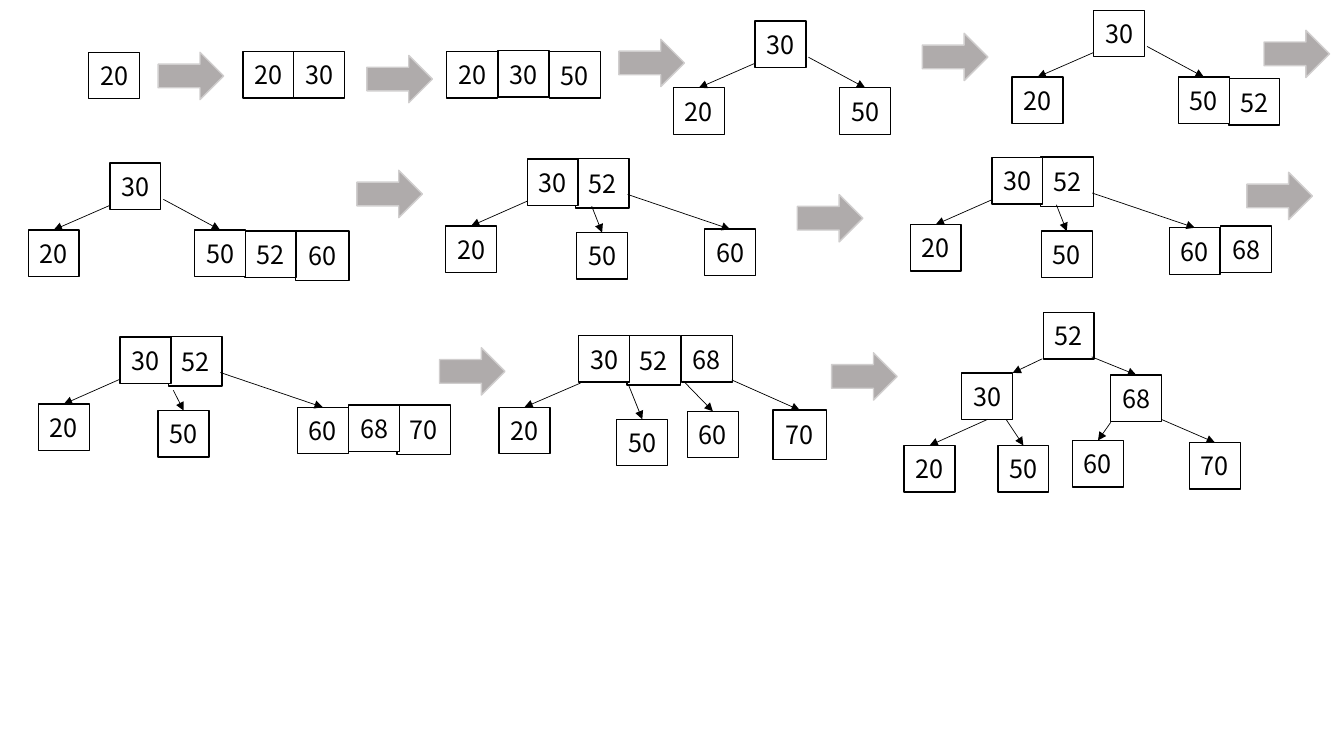
from dataclasses import dataclass

from lxml.etree import SubElement
from pptx import Presentation
from pptx.dml.color import RGBColor
from pptx.enum.shapes import MSO_CONNECTOR as Connector, MSO_SHAPE as Shape
from pptx.enum.text import MSO_ANCHOR as Anchor, PP_ALIGN as Align
from pptx.oxml.ns import qn
from pptx.util import Pt


@dataclass(frozen=True)
class Theme:
    font: str = "Noto Sans CJK SC"
    size: float = 18
    ink: str = "000000"
    paper: str = "FFFFFF"
    arrow: str = "AFABAB"
    arrow_edge: str = "D0CECE"
    outline: float = 1
    link: float = 0.5


@dataclass(frozen=True)
class Key:
    value: int
    x: float
    y: float
    large: bool = False

    @property
    def size(self) -> tuple[float, float]:
        return (38.2, 35.3) if self.large else (36.4, 33.2)


@dataclass(frozen=True)
class Link:
    """Line from a point to the top edge of a child key."""
    x: float
    y: float
    child: Key
    along: float = 0.5  # share of the child's width


@dataclass(frozen=True)
class Stage:
    keys: list[Key]
    links: list[Link]


THEME = Theme()
ARROW_SIZE = (46.8, 33.8)


# Tree builders: x, y is the corner of the root key 30
def one_key_tree(x: float, y: float, *extra: Key) -> Stage:
    left, right = Key(20, x - 58.3, y + 47.7), Key(50, x + 60.5, y + 47.7)
    return Stage([*extra, Key(30, x, y), left, right],
                 [Link(x, y + 30.2, left), Link(x + 38.2, y + 25.9, right)])


def two_key_tree(x: float, y: float, *extra: Key, middle: float = 35.3,
                 fork: tuple[float, float] = (46.1, 33.8)) -> Stage:
    left = Key(20, x - 58.3, y + 47.9)
    mid = Key(50, x + middle, y + 52.6)
    right = Key(60, x + 126.7, y + 50.2)
    return Stage([*extra, Key(52, x + 34.6, y - 0.3, True), right,
                  Key(30, x, y), left, mid],
                 [Link(x, y + 30.2, left),
                  Link(x + fork[0], y + fork[1], mid),
                  Link(x + 71.7, y + 25.4, right)])


def full_root() -> Stage:
    leaves = [Key(20, 356.4, 290.9), Key(50, 440.6, 299.5),
              Key(60, 491, 293.8), Key(70, 552.2, 293, True)]
    starts = [(414.7, 273.6), (449.3, 275.8), (488.2, 272.2), (522.7, 271.4)]
    root = [Key(52, 447.8, 239.8, True), Key(30, 413.3, 239.8), Key(68, 486.7, 239.8)]
    return Stage(root + leaves,
                 [Link(*start, leaf) for start, leaf in zip(starts, leaves)])


def split_root() -> Stage:
    left, right = Key(30, 686.9, 266.4), Key(68, 793.4, 267.8)
    leaves = [Key(20, 645.8, 318.2), Key(50, 712.8, 318.2),
              Key(60, 766.1, 314.6), Key(70, 849.6, 316.1)]
    starts = [(705.6, 299.5), (718.6, 299.5), (793.4, 301.7), (829.4, 299.5)]
    return Stage([Key(52, 745.2, 223.2), left, right, *leaves],
                 [Link(744.5, 256.3, left, 1), Link(779.8, 254.9, right),
                  *(Link(*start, leaf) for start, leaf in zip(starts, leaves))])


STAGES = [
    # First row
    Stage([Key(20, 63.4, 37.4)], []),
    Stage([Key(20, 173.5, 36.7), Key(30, 209.7, 36.7)], []),
    Stage([Key(50, 392.4, 36.9), Key(20, 319, 36.7), Key(30, 355.7, 36.2)], []),
    one_key_tree(539.3, 15),
    one_key_tree(781.2, 7.3, Key(52, 877.7, 56.2)),
    # Second row
    one_key_tree(78.5, 116.5, Key(60, 211, 164.9, True), Key(52, 175, 164.9)),
    two_key_tree(376.6, 113.5),
    two_key_tree(708.5, 112.5, Key(68, 871.9, 161.3)),
    # Third row
    two_key_tree(85.7, 240.7, Key(70, 283.7, 289.4, True), Key(68, 249.1, 289.4),
                 middle=27.3, fork=(38.1, 38.1)),
    full_root(),
    split_root(),
]

STEP_ARROWS = [
    (113, 37.4), (262.1, 39.6), (442.1, 28.1), (658.8, 23.8), (902.9, 21.6),
    (254.9, 121.7), (569.5, 139), (890.6, 123.1),
    (313.9, 248.4), (594, 252),
]


def add_block(s, kind: Shape, x: float, y: float, size: tuple[float, float],
              fill: str, line: str):
    sp = s.shapes.add_shape(kind, Pt(x), Pt(y), Pt(size[0]), Pt(size[1]))
    sp.shadow.inherit = False
    sp.fill.solid()
    sp.fill.fore_color.rgb = RGBColor.from_string(fill)
    sp.line.color.rgb = RGBColor.from_string(line)
    sp.line.width = Pt(THEME.outline)
    return sp


def add_key(s, key: Key) -> None:
    sp = add_block(s, Shape.RECTANGLE, key.x, key.y, key.size, THEME.paper, THEME.ink)
    tf = sp.text_frame
    tf.margin_left = tf.margin_right = tf.margin_top = tf.margin_bottom = 0
    tf.vertical_anchor = Anchor.MIDDLE
    p = tf.paragraphs[0]
    p.text = str(key.value)
    p.alignment = Align.CENTER
    p.font.name = THEME.font
    p.font.size = Pt(THEME.size)
    p.font.color.rgb = RGBColor.from_string(THEME.ink)


def add_link(s, link: Link) -> None:
    end_x = link.child.x + link.child.size[0] * link.along
    line = s.shapes.add_connector(Connector.STRAIGHT, Pt(link.x), Pt(link.y),
                                  Pt(end_x), Pt(link.child.y))
    line.line.color.rgb = RGBColor.from_string(THEME.ink)
    line.line.width = Pt(THEME.link)
    # Arrowhead, and no shadow
    props = line._element.spPr
    SubElement(props.find(qn("a:ln")), qn("a:tailEnd"), type="triangle")
    SubElement(props, qn("a:effectLst"))


def main() -> None:
    prs = Presentation()
    prs.slide_width, prs.slide_height = Pt(960), Pt(540)
    s = prs.slides.add_slide(prs.slide_layouts[6])
    for stage in STAGES:
        for key in stage.keys:
            add_key(s, key)
        for link in stage.links:
            add_link(s, link)
    for x, y in STEP_ARROWS:
        add_block(s, Shape.RIGHT_ARROW, x, y, ARROW_SIZE, THEME.arrow, THEME.arrow_edge)
    prs.save("out.pptx")


if __name__ == "__main__":
    main()
